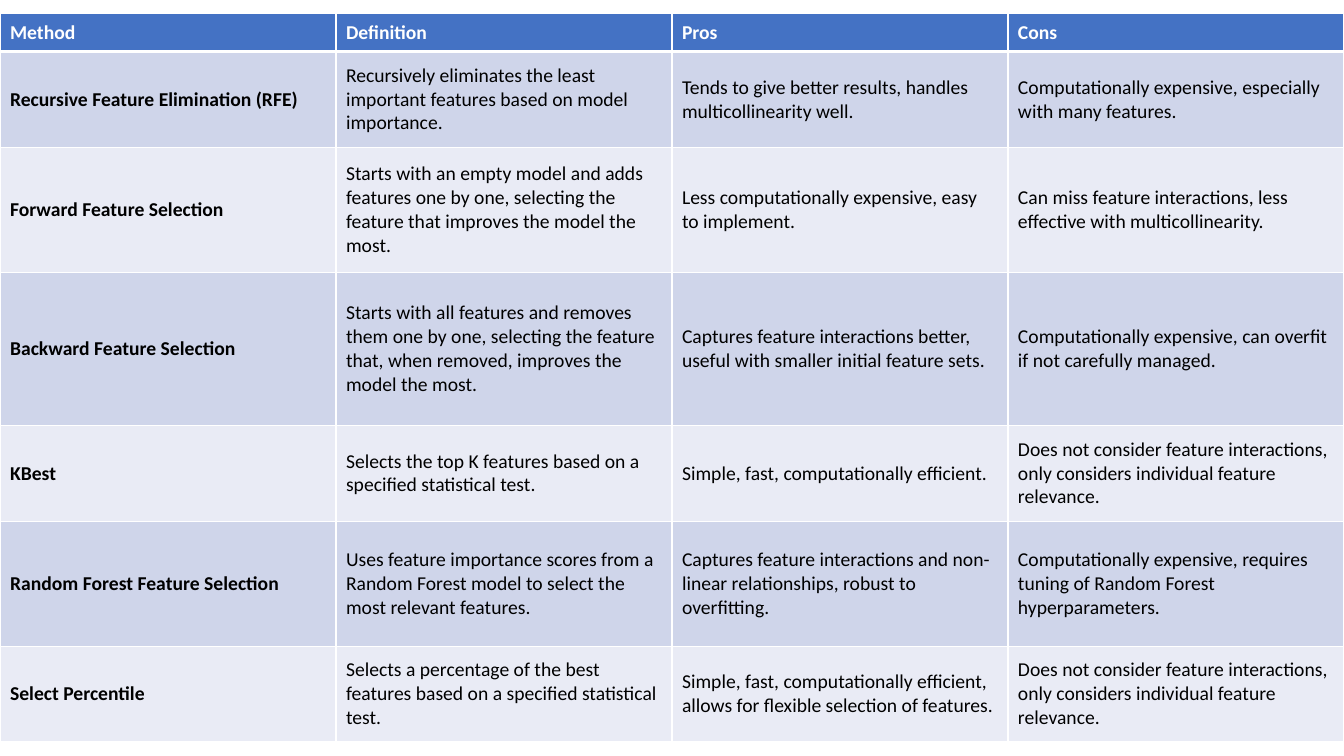
from lxml.etree import SubElement
from pptx import Presentation
from pptx.dml.color import RGBColor
from pptx.enum.text import MSO_ANCHOR
from pptx.oxml.ns import qn
from pptx.util import Pt

HEADER = ("Method", "Definition", "Pros", "Cons")
METHODS = [
    ("Recursive Feature Elimination (RFE)",
     "Recursively eliminates the least important features based on model importance.",
     "Tends to give better results, handles multicollinearity well.",
     "Computationally expensive, especially with many features."),
    ("Forward Feature Selection",
     "Starts with an empty model and adds features one by one, selecting the feature "
     "that improves the model the most.",
     "Less computationally expensive, easy to implement.",
     "Can miss feature interactions, less effective with multicollinearity."),
    ("Backward Feature Selection",
     "Starts with all features and removes them one by one, selecting the feature that, "
     "when removed, improves the model the most.",
     "Captures feature interactions better, useful with smaller initial feature sets.",
     "Computationally expensive, can overfit if not carefully managed."),
    ("KBest",
     "Selects the top K features based on a specified statistical test.",
     "Simple, fast, computationally efficient.",
     "Does not consider feature interactions, only considers individual feature relevance."),
    ("Random Forest Feature Selection",
     "Uses feature importance scores from a Random Forest model to select the most "
     "relevant features.",
     "Captures feature interactions and non-linear relationships, robust to overfitting.",
     "Computationally expensive, requires tuning of Random Forest hyperparameters."),
    ("Select Percentile",
     "Selects a percentage of the best features based on a specified statistical test.",
     "Simple, fast, computationally efficient, allows for flexible selection of features.",
     "Does not consider feature interactions, only considers individual feature relevance."),
]
ROW_HEIGHTS = (27.4, 68.4, 89.3, 109.4, 68.4, 89.3, 68.4)
SLIDE_W, SLIDE_H, TABLE_TOP = 960, 540, 9.4
HEADER_FILL, BANDS = "4472C4", ("E9EBF5", "CFD5EA")
WHITE, BLACK = "FFFFFF", "000000"
THIN, THICK = 1, 3


def color(value):
    return RGBColor.from_string(value)


def set_borders(cell, widths):
    """Draw white cell borders; must run before the cell gets its fill."""
    tc_pr = cell._tc.get_or_add_tcPr()
    for side, width in widths.items():
        line = SubElement(tc_pr, qn(f"a:ln{side}"), w=str(Pt(width)))
        fill = SubElement(line, qn("a:solidFill"))
        SubElement(fill, qn("a:srgbClr"), val=WHITE)


def fill_cell(cell, text, row, col):
    is_header = row == 0
    set_borders(cell, {"L": THIN, "R": THIN,
                       "T": THICK if row == 1 else THIN,
                       "B": THICK if is_header else THIN})
    cell.fill.solid()
    cell.fill.fore_color.rgb = color(HEADER_FILL if is_header else BANDS[row % 2])
    cell.vertical_anchor = MSO_ANCHOR.MIDDLE
    r = cell.text_frame.paragraphs[0].add_run()
    r.text = text
    font_format = {"name": "Calibri", "size": Pt(14), "bold": is_header or col == 0}
    for name, value in font_format.items():
        setattr(r.font, name, value)
    r.font.color.rgb = color(WHITE if is_header else BLACK)


def main():
    prs = Presentation()
    prs.slide_width, prs.slide_height = Pt(SLIDE_W), Pt(SLIDE_H)
    s = prs.slides.add_slide(prs.slide_layouts[6])
    rows = [HEADER, *METHODS]
    table = s.shapes.add_table(len(rows), len(HEADER), Pt(0), Pt(TABLE_TOP),
                               Pt(SLIDE_W), Pt(sum(ROW_HEIGHTS))).table
    for column in table.columns:
        column.width = Pt(SLIDE_W / len(HEADER))
    for i, (texts, height) in enumerate(zip(rows, ROW_HEIGHTS)):
        table.rows[i].height = Pt(height)
        for j, text in enumerate(texts):
            fill_cell(table.cell(i, j), text, i, j)
    prs.save("out.pptx")


if __name__ == "__main__":
    main()
